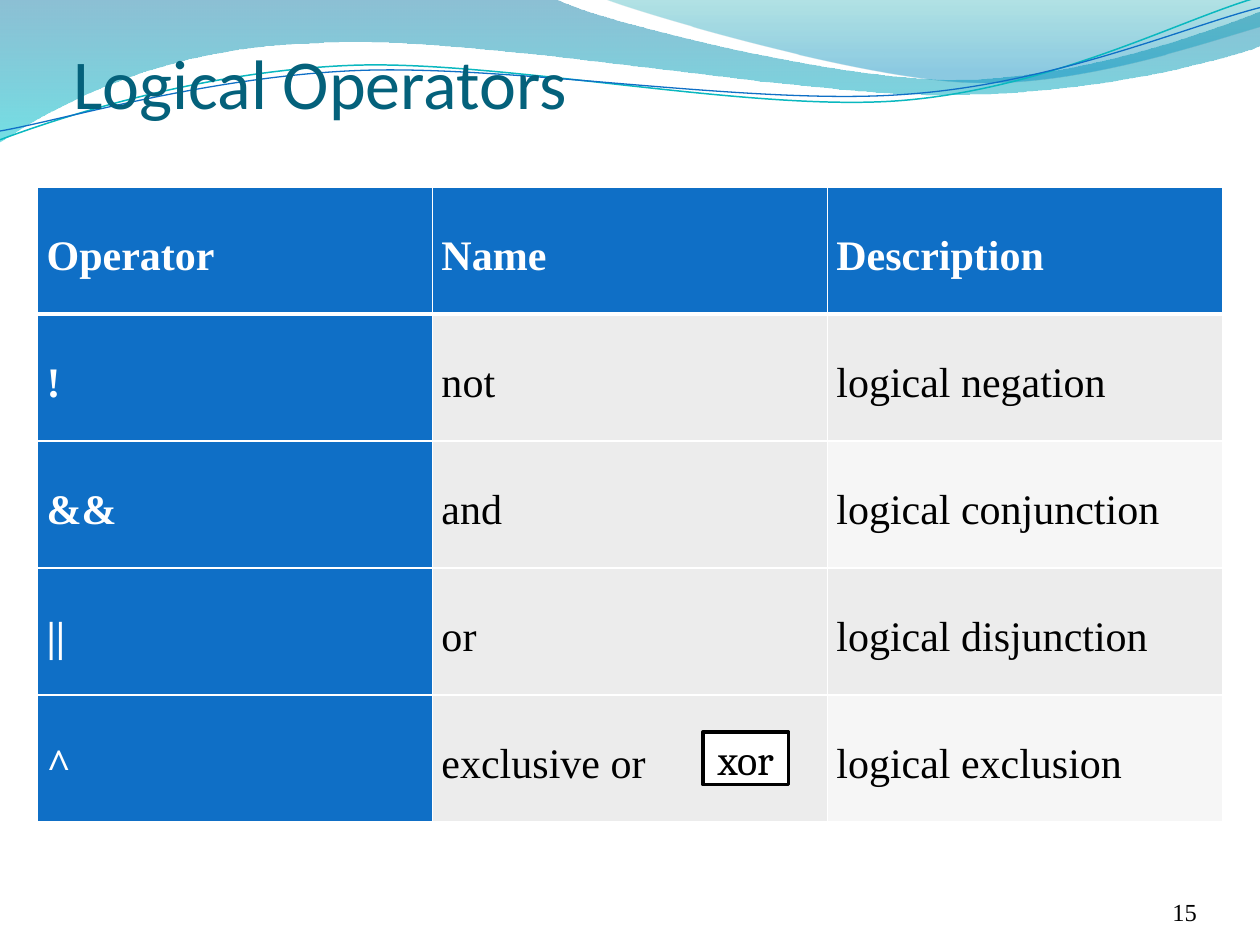
import math

from lxml import etree
from pptx import Presentation, util as u
from pptx.dml import color
from pptx.enum import shapes, text
from pptx.oxml import ns

SERIF = "Times New Roman"
BLUE, WHITE, BLACK = "0F6FC6", "FFFFFF", "000000"
INCH = u.Cm(2.54)
TILT = 357.3


def paint(code):
    return color.RGBColor.from_string(code)


def write(frame, words, font=SERIF, size=24, ink=BLACK, bold=False,
          align=text.PP_ALIGN.LEFT, spacing=None):
    para = frame.paragraphs[0]
    para.alignment = align
    para.line_spacing = spacing
    span = para.add_run()
    span.text = words
    span.font.name = font
    span.font.size = u.Pt(size)
    span.font.bold = bold
    span.font.color.rgb = paint(ink)


def local(point, area, rotation):
    left, top, width, height = area
    angle = math.radians(-rotation)
    dx, dy = point[0] - left - width / 2, point[1] - top - height / 2
    x = width / 2 + dx * math.cos(angle) - dy * math.sin(angle)
    y = height / 2 + dx * math.sin(angle) + dy * math.cos(angle)
    return {"x": str(round(x * INCH)), "y": str(round(y * INCH))}


class Slide:
    def __init__(self, deck):
        self.page = deck.slides.add_slide(deck.slide_layouts[5])

    def outline(self, steps, area, rotation=0, closed=True):
        anchors = [(x * INCH, y * INCH) for *_, x, y in steps]
        builder = self.page.shapes.build_freeform(*anchors[0])
        builder.add_line_segments(anchors[1:], close=closed)
        shape = builder.convert_to_shape()
        shape.shadow.inherit = False
        shape.left, shape.top, shape.width, shape.height = (
            u.Emu(round(length * INCH)) for length in area)
        shape.rotation = rotation
        trail = next(shape._element.iter(ns.qn("a:path")))
        trail.set("w", str(shape.width))
        trail.set("h", str(shape.height))
        for segment, step in zip(list(trail), steps):
            for point in list(segment):
                segment.remove(point)
            if len(step) == 6:
                curve = etree.Element(ns.qn("a:cubicBezTo"))
                trail.replace(segment, curve)
                segment = curve
            for i in range(0, len(step), 2):
                etree.SubElement(segment, ns.qn("a:pt"),
                                 local(step[i:i + 2], area, rotation))
        return shape

    def wave(self, steps, area, stops):
        shape = self.outline(steps, area)
        shape.line.fill.background()
        shape.fill.gradient()
        shape.fill.gradient_angle = 270
        for stop, (position, code, _) in zip(shape.fill.gradient_stops, stops):
            stop.position = position
            stop.color.rgb = paint(code)
        tints = shape._element.spPr.iter(ns.qn("a:srgbClr"))
        for tint, (_, _, alpha) in zip(tints, stops):
            etree.SubElement(tint, ns.qn("a:alpha")).set("val", str(alpha * 1000))

    def strand(self, steps, area, code, width):
        shape = self.outline(steps, area, rotation=TILT, closed=False)
        shape.fill.background()
        shape.line.color.rgb = paint(code)
        shape.line.width = u.Pt(width)

    def place(self, box, words, margins, anchor, **style):
        frame = box.text_frame
        frame.word_wrap = True
        frame.auto_size = text.MSO_AUTO_SIZE.NONE
        frame.vertical_anchor = anchor
        (frame.margin_left, frame.margin_top,
         frame.margin_right, frame.margin_bottom) = map(u.Cm, margins)
        write(frame, words, **style)

    def title(self, words, area, **style):
        box = self.page.shapes.title
        box.left, box.top, box.width, box.height = map(u.Cm, area)
        self.page.shapes._spTree.append(box._element)
        self.place(box, words, (0, 0.13, 0, 0), text.MSO_ANCHOR.BOTTOM, **style)

    def label(self, words, area, **style):
        box = self.page.shapes.add_textbox(*map(u.Cm, area))
        self.place(box, words, (0, 0, 0, 0), text.MSO_ANCHOR.BOTTOM, **style)

    def tag(self, words, area, **style):
        box = self.page.shapes.add_shape(shapes.MSO_SHAPE.RECTANGLE, *map(u.Cm, area))
        box.shadow.inherit = False
        box.fill.solid()
        box.fill.fore_color.rgb = paint(WHITE)
        box.line.color.rgb = paint(BLACK)
        box.line.width = u.Pt(2)
        self.place(box, words, (0.25, 0.13, 0.25, 0.13), text.MSO_ANCHOR.MIDDLE,
                   align=text.PP_ALIGN.CENTER, **style)

    def borders(self, cell, widths):
        properties = cell._tc.get_or_add_tcPr()
        for side, width in widths.items():
            line = etree.SubElement(properties, ns.qn(f"a:ln{side}"), w=str(u.Pt(width)))
            fill = etree.SubElement(line, ns.qn("a:solidFill"))
            etree.SubElement(fill, ns.qn("a:srgbClr"), val=WHITE)

    def table(self, rows, left, top, column_width, row_height):
        count = len(rows[0])
        table = self.page.shapes.add_table(
            len(rows), count, u.Cm(left), u.Cm(top),
            u.Cm(column_width * count), u.Cm(row_height * len(rows))).table
        for column in table.columns:
            column.width = u.Cm(column_width)
        for r, row in enumerate(rows):
            table.rows[r].height = u.Cm(row_height)
            for c, words in enumerate(row):
                cell = table.cell(r, c)
                heading = r == 0 or c == 0
                light = c == 2 and r % 2 == 0
                self.borders(cell, {"L": 1, "R": 1, "T": 3 if r == 1 else 1,
                                    "B": 3 if r == 0 else 1})
                cell.fill.solid()
                cell.fill.fore_color.rgb = paint(
                    BLUE if heading else "F6F6F6" if light else "ECECEC")
                cell.margin_left = cell.margin_right = u.Cm(0.18)
                cell.margin_top = cell.margin_bottom = 0
                write(cell.text_frame, words, bold=heading, spacing=2.0,
                      ink=WHITE if heading else BLACK)


def main():
    deck = Presentation()
    deck.slide_width, deck.slide_height = u.Cm(25.4), u.Cm(19.05)
    slide = Slide(deck)
    slide.wave([(0, 0), (4.4, -0.01), (4.76, 0.17, 6.64, 0.63, 7.58, 0.63),
                (8.53, 0.63, 9.58, 0.26, 10, 0.09), (10.01, 0.36),
                (9.83, 0.44, 8.7, 0.76, 7.46, 0.75),
                (6.22, 0.75, 3.82, 0.28, 2.57, 0.34),
                (1.29, 0.36, 0.46, 0.83, -0.01, 1.13)],
               (-0.01, -0.01, 10.02, 1.14),
               [(0, "0074A1", 45), (1, "00C6CF", 55)])
    slide.wave([(4.79, -0.01), (5.09, 0.11, 6.82, 0.62, 7.69, 0.65),
                (8.56, 0.69, 9.61, 0.32, 10, 0.21), (10, 0)],
               (4.79, -0.01, 5.21, 0.7),
               [(0, "00A1A9", 30), (0.8, "008BBF", 45)])
    slide.strand([(0, 1.11), (0.48, 0.93, 1.58, 0.57, 2.77, 0.52),
                  (3.95, 0.47, 5.93, 0.89, 7.13, 0.8),
                  (8.33, 0.71, 9.38, 0.15, 9.98, -0.02)],
                 (-0.02, 0.22, 10.02, 0.71), "0AB8BF", 0.85)
    slide.strand([(0, 1.04), (0.47, 0.96, 1.64, 0.61, 2.83, 0.56),
                  (4.03, 0.51, 5.97, 0.84, 7.17, 0.75),
                  (8.36, 0.67, 9.41, 0.21, 10, 0.06)],
                 (-0.02, 0.3, 10.03, 0.58), BLUE, 0.75)
    slide.title("Logical Operators", (1.48, 0, 21.59, 2.5),
                font="Calibri", size=40, ink="04617B")
    slide.label("15", (22.02, 17.65, 2.11, 1.02), size=14, align=text.PP_ALIGN.RIGHT)
    slide.table([("Operator", "Name", "Description"),
                 ("!", "not", "logical negation"),
                 ("&&", "and", "logical conjunction"),
                 ("||", "or", "logical disjunction"),
                 ("^", "exclusive or", "logical exclusion")],
                left=0.76, top=3.77, column_width=7.96, row_height=2.56)
    slide.tag("xor", (14.17, 14.76, 1.73, 1.06), font="Cambria")
    deck.save("out.pptx")


if __name__ == "__main__":
    main()
